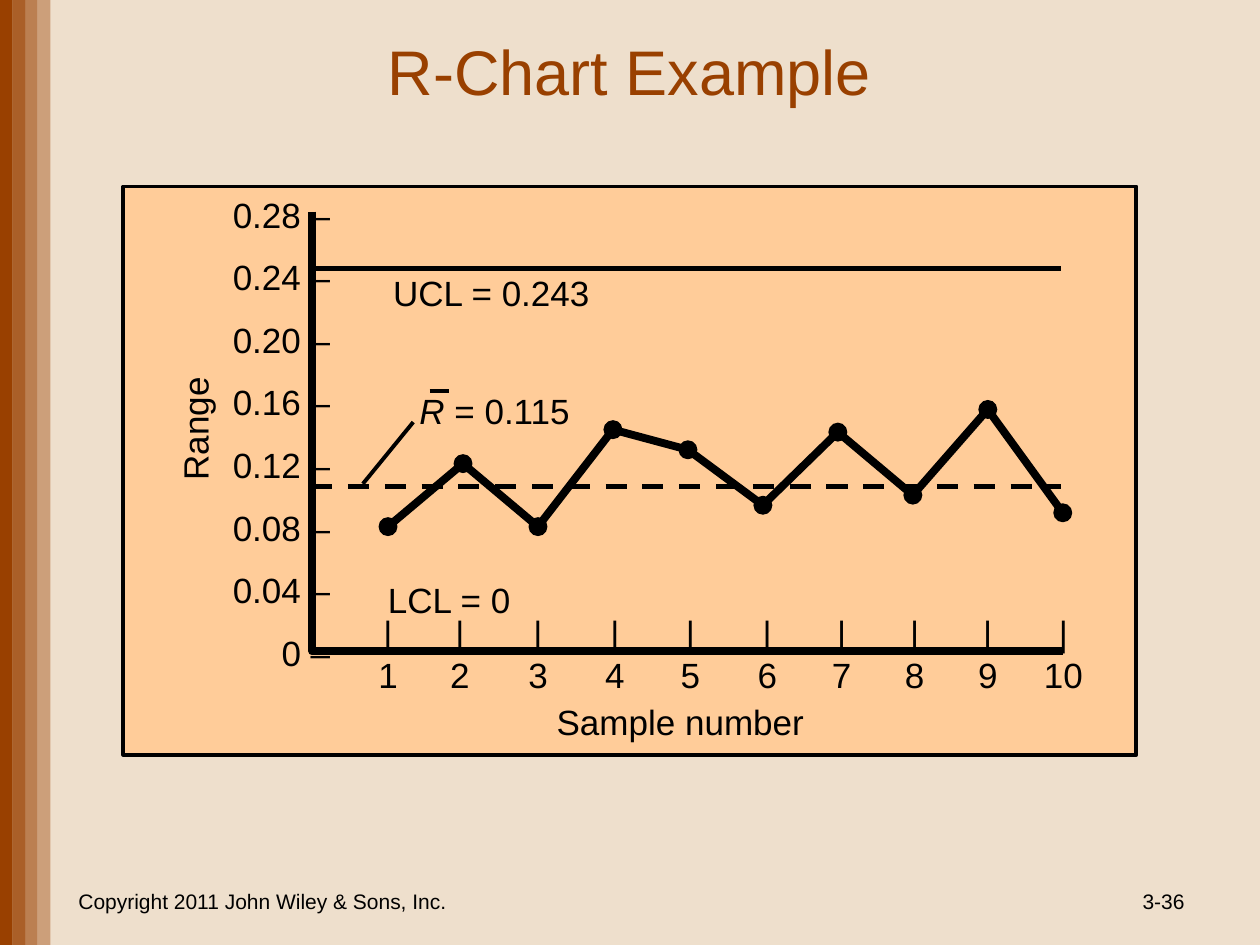
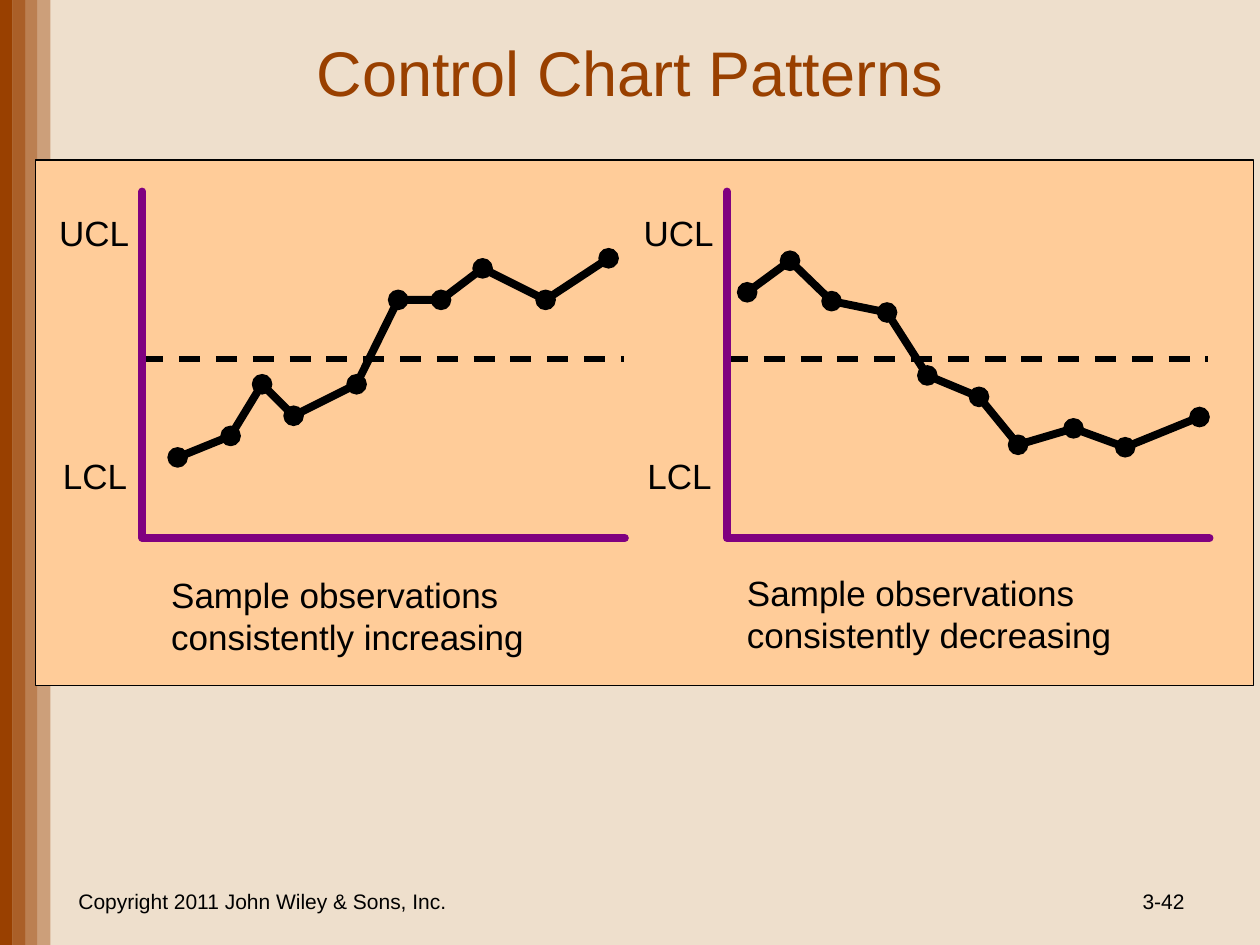
from dataclasses import dataclass

from lxml import etree
from pptx import Presentation
from pptx.dml.color import RGBColor
from pptx.enum.dml import MSO_LINE
from pptx.enum.shapes import MSO_CONNECTOR, MSO_SHAPE
from pptx.enum.text import MSO_ANCHOR, PP_ALIGN
from pptx.oxml.ns import qn
from pptx.util import Inches, Pt

RECT, OVAL = MSO_SHAPE.RECTANGLE, MSO_SHAPE.OVAL
STRAIGHT, DASH = MSO_CONNECTOR.STRAIGHT, MSO_LINE.DASH
LEFT, CENTER, RIGHT = PP_ALIGN.LEFT, PP_ALIGN.CENTER, PP_ALIGN.RIGHT
TOP, MIDDLE = MSO_ANCHOR.TOP, MSO_ANCHOR.MIDDLE


@dataclass(frozen=True)
class Theme:
    background: RGBColor = RGBColor.from_string("EEDFCC")
    accent: RGBColor = RGBColor.from_string("994000")
    panel: RGBColor = RGBColor.from_string("FFCC99")
    ink: RGBColor = RGBColor.from_string("000000")
    axis: RGBColor = RGBColor.from_string("800080")
    font: str = "Arial"
    title_size: int = 36
    label_size: int = 20
    footer_size: int = 12


theme = Theme()


def style(sp, line=None, width=0.75, fill=None):
    """Set line and fill (None means none) and drop the shadow."""
    if line is None:
        sp.line.fill.background()
    else:
        sp.line.color.rgb = line
        sp.line.width = Pt(width)
    if fill is not None:
        sp.fill.solid()
        sp.fill.fore_color.rgb = fill
    etree.SubElement(sp._element.spPr, qn("a:effectLst"))


def add_text(slide, box, paragraphs, size=theme.label_size, align=CENTER,
             anchor=MIDDLE, spacing=None):
    """Add a text box; each paragraph is a list of (text, italic) runs or a string."""
    sp = slide.shapes.add_textbox(*map(Inches, box))
    tf = sp.text_frame
    tf.word_wrap = False
    tf.vertical_anchor = anchor
    for i, runs in enumerate(paragraphs):
        p = tf.add_paragraph() if i else tf.paragraphs[0]
        p.alignment = align
        if spacing:
            p.line_spacing = spacing
        for text, italic in [(runs, False)] if isinstance(runs, str) else runs:
            r = p.add_run()
            r.text = text
            r.font.name = theme.font
            r.font.size = Pt(size)
            r.font.italic = italic
            r.font.color.rgb = theme.ink
    return sp


prs = Presentation()
prs.slide_width, prs.slide_height = Inches(10), Inches(7.5)
prs.slide_master.background.fill.solid()
prs.slide_master.background.fill.fore_color.rgb = theme.background

# Shared frame: side bands, title, footer and chart panel
frames = [
    ("R-Chart Example", (0.37, 0.12, 9.25, 0.87), "3-36", (0.98, 1.48, 8.04, 4.51), 2.25),
    ("Control Chart Patterns", (1.25, 0.05, 7.5, 1.03), "3-42", (0.28, 1.27, 9.67, 4.17), 0.75),
]
for title, title_box, number, panel_box, border in frames:
    s = prs.slides.add_slide(prs.slide_layouts[5])
    for i in range(4):
        sp = s.shapes.add_shape(RECT, Inches(0.1 * i), 0, Inches(0.1), prs.slide_height)
        style(sp, fill=theme.accent)
        if i:
            color = sp._element.spPr.find(qn("a:solidFill"))[0]
            etree.SubElement(color, qn("a:alpha"), val=str(100000 - 20000 * i))

    sp = s.shapes.title
    sp.left, sp.top, sp.width, sp.height = map(Inches, title_box)
    tf = sp.text_frame
    tf.vertical_anchor = MIDDLE
    p = tf.paragraphs[0]
    p.alignment = CENTER
    r = p.add_run()
    r.text = title
    r.font.name = theme.font
    r.font.size = Pt(theme.title_size)
    r.font.color.rgb = theme.accent

    add_text(s, (0.5, 6.95, 3.17, 0.4), ["Copyright 2011 John Wiley & Sons, Inc."],
             theme.footer_size)
    add_text(s, (7.17, 6.95, 2.33, 0.4), [number], theme.footer_size, RIGHT)

    sp = s.shapes.add_shape(RECT, *map(Inches, panel_box))
    style(sp, theme.ink, border, theme.panel)

r_chart, patterns = prs.slides

# R-chart: labels and scales
add_text(r_chart, (3.01, 2.11, 1.78, 0.43), ["UCL = 0.243"])
add_text(r_chart, (2.96, 4.54, 1.21, 0.43), ["LCL = 0"])
add_text(r_chart, (3.22, 3.04, 1.41, 0.43), [[("R", True), (" = 0.115", False)]])
add_text(r_chart, (4.31, 5.51, 2.18, 0.44), ["Sample number"])
add_text(r_chart, (1.02, 3.19, 1.05, 0.43), ["Range"]).rotation = 270

range_ticks = [f"{i * 0.04:.2f} –" for i in range(7, 0, -1)] + ["0 –"]
add_text(r_chart, (1.52, 1.32, 1.2, 4.07), range_ticks,
         align=RIGHT, anchor=TOP, spacing=1.49)

sample_centers = [3.08, 3.65, 4.27, 4.88, 5.48, 6.09, 6.68, 7.26, 7.84, 8.44]
for sample, x in enumerate(sample_centers, 1):
    add_text(r_chart, (x - 0.3, 4.8, 0.6, 0.77), ["|", str(sample)])

# Axes and series, one entry per chart
ranges_y = [4.18, 3.68, 4.18, 3.41, 3.57, 4.01, 3.43, 3.93, 3.25, 4.07]
axes = [(r_chart, [(2.48, 1.68), (2.48, 5.17), (8.44, 5.17)], theme.ink, "flat")]
series = [(r_chart, [(3.08 + 0.595 * i, y) for i, y in enumerate(ranges_y)], 0.14, 0.75)]
rules = [
    (r_chart, (2.47, 2.13, 8.42, 2.13), 3, None),      # upper limit
    (r_chart, (2.47, 3.86, 8.42, 3.86), 3, DASH),      # mean range
    (r_chart, (3.41, 3.1, 3.56, 3.1), 2.25, None),     # bar over R
    (r_chart, (3.28, 3.35, 2.88, 3.84), 2.25, None),   # leader to the mean
]

# Patterns: one small chart per trend
trends = [
    ("increasing", 1.13, (1.26, 4.5, 3.02, 0.77),
     [(1.41, 3.63), (1.83, 3.46), (2.08, 3.05), (2.33, 3.3), (2.83, 3.05),
      (3.16, 2.38), (3.5, 2.38), (3.83, 2.13), (4.33, 2.38), (4.83, 2.05)]),
    ("decreasing", 5.77, (5.83, 4.49, 3.12, 0.77),
     [(5.93, 2.32), (6.27, 2.07), (6.6, 2.39), (7.04, 2.48), (7.36, 2.98),
      (7.77, 3.15), (8.08, 3.53), (8.52, 3.4), (8.93, 3.55), (9.52, 3.31)]),
]
for trend, x, caption_box, points in trends:
    add_text(patterns, (x - 0.76, 1.63, 0.78, 0.43), ["UCL"], align=LEFT, anchor=TOP)
    add_text(patterns, (x - 0.73, 3.56, 0.72, 0.43), ["LCL"], align=LEFT, anchor=TOP)
    add_text(patterns, caption_box, ["Sample observations", f"consistently {trend}"],
             align=LEFT, anchor=TOP)
    rules.append((patterns, (x, 2.85, x + 3.82, 2.85), 3, DASH))
    axes.append((patterns, [(x, 1.52), (x, 4.27), (x + 3.83, 4.27)], theme.axis, "rnd"))
    series.append((patterns, points, 0.15, 1))

# Draw limits, means and leaders
for s, ends, width, dash in rules:
    sp = s.shapes.add_connector(STRAIGHT, *map(Inches, ends))
    style(sp, theme.ink, width)
    if dash:
        sp.line.dash_style = dash

# Draw axes and series lines
curves = [(s, points, theme.ink, "flat") for s, points, size, width in series]
for s, points, color, cap in axes + curves:
    start, *rest = [(Inches(x), Inches(y)) for x, y in points]
    builder = s.shapes.build_freeform(*start)
    builder.add_line_segments(rest, close=False)
    sp = builder.convert_to_shape()
    sp.fill.background()
    style(sp, color, 4.5)
    sp._element.spPr.find(qn("a:ln")).set("cap", cap)

# Draw observation markers
for s, points, size, width in series:
    for x, y in points:
        sp = s.shapes.add_shape(OVAL, Inches(x - size / 2), Inches(y - size / 2),
                                Inches(size), Inches(size))
        style(sp, theme.ink, width, theme.ink)

prs.save("out.pptx")
